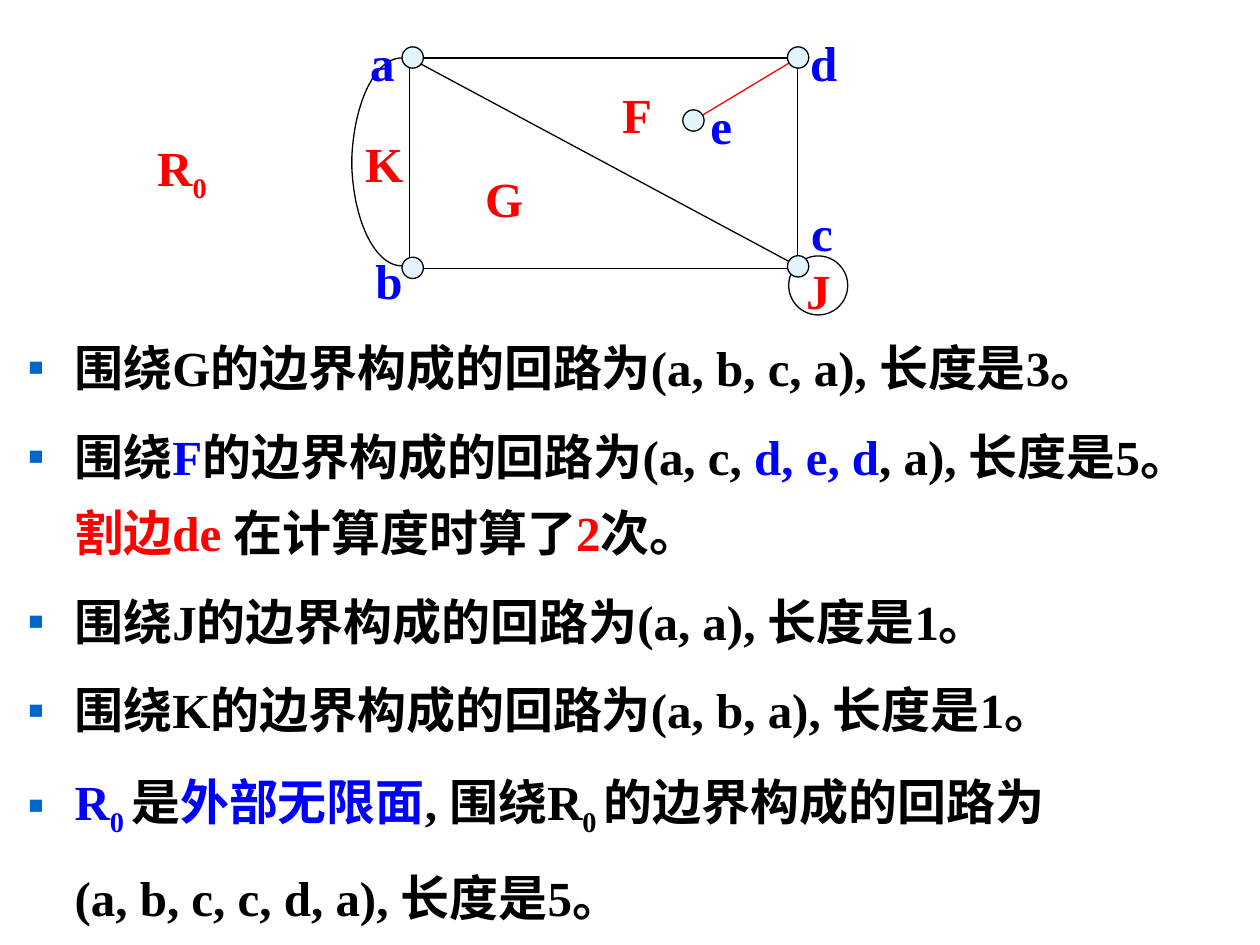
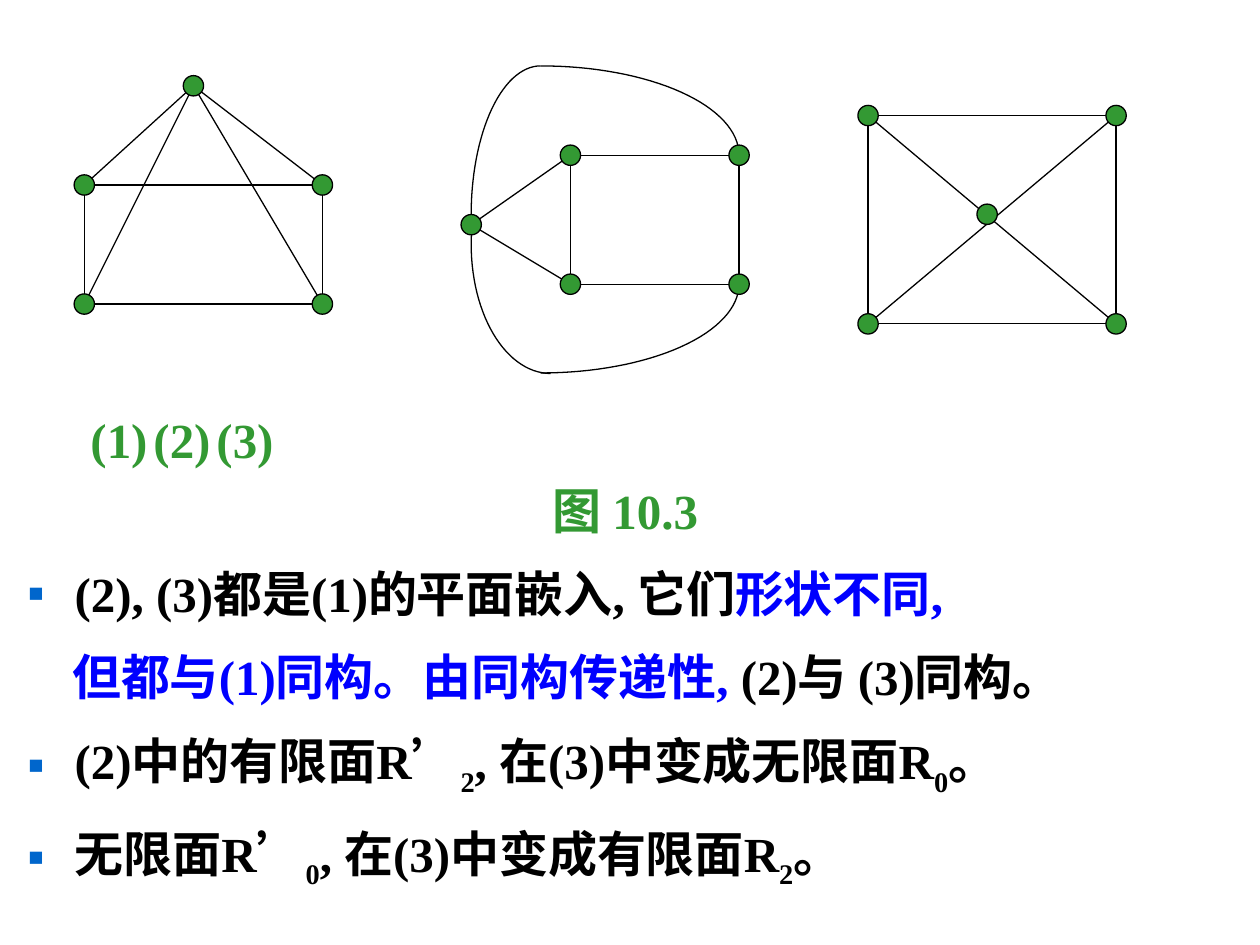
from math import cos, pi, sin

from lxml import etree
from pptx import Presentation
from pptx.dml.color import RGBColor
from pptx.enum.shapes import MSO_CONNECTOR, MSO_SHAPE
from pptx.enum.text import MSO_AUTO_SIZE, PP_ALIGN
from pptx.oxml.ns import qn
from pptx.util import Cm, Pt

STRAIGHT = MSO_CONNECTOR.STRAIGHT
RECTANGLE, OVAL = MSO_SHAPE.RECTANGLE, MSO_SHAPE.OVAL
NO_AUTOFIT = MSO_AUTO_SIZE.NONE
LEFT, CENTER = PP_ALIGN.LEFT, PP_ALIGN.CENTER

BLACK, BLUE, RED, GREEN = "000000", "0000FF", "FF0000", "339933"
PALE_BLUE, BULLET_BLUE = "E1F4FF", "0066CC"
FONT, TEXT_SIZE = "Times New Roman", 28
HANGING = 0.95
ARC_STEPS = 32


def rgb(hex_string):
    return RGBColor.from_string(hex_string)


def write(paragraph, text, color=BLACK, sub=False):
    """Add one run in the common style."""
    run = paragraph.add_run()
    run.text = text
    run.font.name = FONT
    run.font.size = Pt(TEXT_SIZE)
    run.font.bold = True
    run.font.color.rgb = rgb(color)
    if sub:
        run.font._element.set("baseline", "-25000")


def write_all(paragraph, segments, color=BLACK):
    """Each segment is a plain text or (text, format)."""
    for segment in segments:
        text, changes = (segment, {}) if isinstance(segment, str) else segment
        write(paragraph, text, **{"color": color, **changes})


def blue(text):
    return text, {"color": BLUE}


def red(text):
    return text, {"color": RED}


def sub(text):
    return text, {"sub": True}


def item(*segments, bullet=True, margin=HANGING, spacing=None, color=BLACK,
         align=LEFT, tabs=()):
    """Describe one paragraph of a list."""
    return {"segments": segments, "bullet": bullet, "margin": margin,
            "spacing": spacing, "color": color, "align": align, "tabs": tabs}


class GraphSlide:
    """Style of the deck and the slide being drawn."""

    def __init__(self, deck, dot_color, dot_size):
        self.slide = deck.slides.add_slide(deck.slide_layouts[1])
        title = self.slide.shapes.title
        title._element.getparent().remove(title._element)
        self.shapes = self.slide.shapes
        self.dot_color, self.dot_size = dot_color, dot_size

    def outline(self, shape, color=BLACK):
        shape.line.color.rgb = rgb(color)
        shape.line.width = Pt(0.75)

    def shape(self, kind, left, top, width, height, fill=None):
        shape = self.shapes.add_shape(kind, Cm(left), Cm(top), Cm(width), Cm(height))
        shape.shadow.inherit = False
        if fill:
            shape.fill.solid()
            shape.fill.fore_color.rgb = rgb(fill)
        else:
            shape.fill.background()
        self.outline(shape)

    def dots(self, *centers):
        size = self.dot_size
        for x, y in centers:
            self.shape(OVAL, x - size / 2, y - size / 2, size, size, self.dot_color)

    def edge(self, start, end, color=BLACK):
        line = self.shapes.add_connector(STRAIGHT, *map(Cm, start + end))
        self.outline(line, color)
        etree.SubElement(line._element.spPr, qn("a:effectLst"))

    def quarter_arc(self, x, y, rx, ry, overshoot=0):
        """Quarter ellipse; the signs of the radii choose the quadrant."""
        step = (pi / 2 + overshoot) / ARC_STEPS
        angles = [i * step - overshoot for i in range(ARC_STEPS + 1)]
        points = [(Cm(x + rx * cos(t)), Cm(y + ry * sin(t))) for t in angles]
        builder = self.shapes.build_freeform(*points[0])
        builder.add_line_segments(points[1:], close=False)
        arc = builder.convert_to_shape()
        arc.shadow.inherit = False
        arc.fill.background()
        self.outline(arc)

    def label(self, left, top, width, *segments, color=BLUE):
        box = self.shapes.add_textbox(Cm(left), Cm(top), Cm(width), Cm(1.45))
        box.text_frame.word_wrap = False
        write_all(box.text_frame.paragraphs[0], segments, color)

    def body(self, left, top, width, height, items):
        body = self.slide.placeholders[1]
        body.left, body.top = Cm(left), Cm(top)
        body.width, body.height = Cm(width), Cm(height)
        frame = body.text_frame
        frame.auto_size = NO_AUTOFIT
        for i, entry in enumerate(items):
            paragraph = frame.add_paragraph() if i else frame.paragraphs[0]
            self.format_item(paragraph, entry)
            paragraph.space_before = Pt(7 if i else 0)
            write_all(paragraph, entry["segments"], entry["color"])

    def format_item(self, paragraph, entry):
        props = paragraph._p.get_or_add_pPr()
        indent = -entry["margin"] if entry["bullet"] else 0
        props.set("marL", str(Cm(entry["margin"])))
        props.set("indent", str(Cm(indent)))
        if entry["bullet"]:
            bullet_color = etree.SubElement(props, qn("a:buClr"))
            etree.SubElement(bullet_color, qn("a:srgbClr"), val=BULLET_BLUE)
            etree.SubElement(props, qn("a:buChar"), char="▪")
        else:
            etree.SubElement(props, qn("a:buNone"))
        if entry["tabs"]:
            tab_list = etree.SubElement(props, qn("a:tabLst"))
            for stop in entry["tabs"]:
                etree.SubElement(tab_list, qn("a:tab"), pos=str(Cm(stop)), algn="l")
        paragraph.alignment = entry["align"]
        if entry["spacing"]:
            paragraph.line_spacing = entry["spacing"]


def faces_slide(deck):
    page = GraphSlide(deck, PALE_BLUE, 0.43)
    page.body(0.3, 6.32, 24.89, 12.52, [item(*segments, spacing=1.3) for segments in (
        ["围绕G的边界构成的回路为(a, b, c, a), 长度是3。"],
        ["围绕", blue("F"), "的边界构成的回路为(a, c, ", blue("d, e, d"),
         ", a), 长度是5。", red("割边de "), "在计算度时算了", red("2"), "次。"],
        ["围绕J的边界构成的回路为(a, a), 长度是1。"],
        ["围绕K的边界构成的回路为(a, b, a), 长度是1。"],
        [blue("R"), ("0 ", {"color": BLUE, "sub": True}), "是", blue("外部无限面"),
         ", 围绕R", sub("0 "), "的边界构成的回路为"],
    )] + [item("(a, b, c, c, d, a), 长度是5。", bullet=False, spacing=1.3)])

    # Edges, then the double edge a-b and the loop at c
    a, b, c, d, e = (8.32, 1.16), (8.32, 5.4), (16.09, 5.37), (16.09, 1.16), (13.98, 2.43)
    page.shape(RECTANGLE, 8.26, 1.17, 7.82, 4.24)
    page.edge((8.26, 1.17), c)
    page.edge(d, e, RED)
    page.quarter_arc(8.1, 3.38, -1.01, -2.21)
    page.quarter_arc(8.1, 3.18, -1.01, 2.18)
    page.shape(OVAL, 15.9, 5.16, 1.19, 1.19)
    page.dots(a, b, c, d, e)

    # Vertex and face names
    for name, left, top, width in (
            ("a", 7.21, 0.53, 0.99), ("b", 7.32, 4.93, 1.04), ("c", 16.1, 3.96, 0.94),
            ("d", 16.08, 0.53, 1.04), ("e", 14.07, 1.8, 0.94)):
        page.label(left, top, width, name)
    for name, left, top, width in (
            ("F", 12.29, 1.57, 1.12), ("G", 9.53, 3.28, 1.27),
            ("J", 16, 5.13, 0.99), ("K", 7.11, 2.57, 1.27)):
        page.label(left, top, width, name, color=RED)
    page.label(2.92, 2.64, 1.5, "R", sub("0"), color=RED)


def embeddings_slide(deck):
    page = GraphSlide(deck, GREEN, 0.41)

    def frame(left, top, width, height):
        """Draw a rectangle and return its corners, clockwise."""
        page.shape(RECTANGLE, left, top, width, height)
        right, bottom = left + width, top + height
        return (left, top), (right, top), (right, bottom), (left, bottom)

    # (1) house with crossing edges
    house = frame(1.7, 3.73, 4.8, 2.4)
    apex = (3.9, 1.73)
    for corner in house:
        page.edge(apex, corner)

    # (2) embedding with two outer curves
    block = frame(11.5, 3.13, 3.4, 2.6)
    tip = (9.5, 4.53)
    for corner in (block[0], block[3]):
        page.edge(tip, corner)
    page.quarter_arc(10.9, 3.13, 4, -1.8)
    page.quarter_arc(10.9, 4.33, -1.4, -3, overshoot=0.08)
    page.quarter_arc(10.9, 5.72, 4, 1.8)
    page.quarter_arc(11.1, 4.93, -1.6, 2.6, overshoot=0.16)

    # (3) embedding with a central vertex
    square = frame(17.5, 2.33, 5, 4.2)
    hub = (19.9, 4.32)
    page.edge(square[3], square[1])
    page.edge(square[2], square[0])

    page.dots(*house, apex, *block, tip, *square, hub)

    # Captions and conclusions
    page.body(0.3, 8.13, 24.61, 10.52, [
        item("\t(1)\t(2)\t(3)", bullet=False, margin=0, color=GREEN,
             tabs=(2.71, 11.76, 20.04)),
        item("图 10.3", bullet=False, margin=0, color=GREEN, align=CENTER),
        item("(2), (3)都是(1)的平面嵌入, 它们", blue("形状不同,"), spacing=1.2),
        item(blue("但都与(1)同构。由同构传递性, "), "(2)与 (3)同构。",
             bullet=False, margin=0.9, spacing=1.2),
        item("(2)中的有限面R’", sub("2"), ", 在(3)中变成无限面R", sub("0"), "。",
             spacing=1.2),
        item("无限面R’", sub("0"), ", 在(3)中变成有限面R", sub("2"), "。", spacing=1.2),
    ])


def main():
    deck = Presentation()
    deck.slide_width, deck.slide_height = Cm(25.4), Cm(19.05)
    faces_slide(deck)
    embeddings_slide(deck)
    deck.save("out.pptx")


if __name__ == "__main__":
    main()
